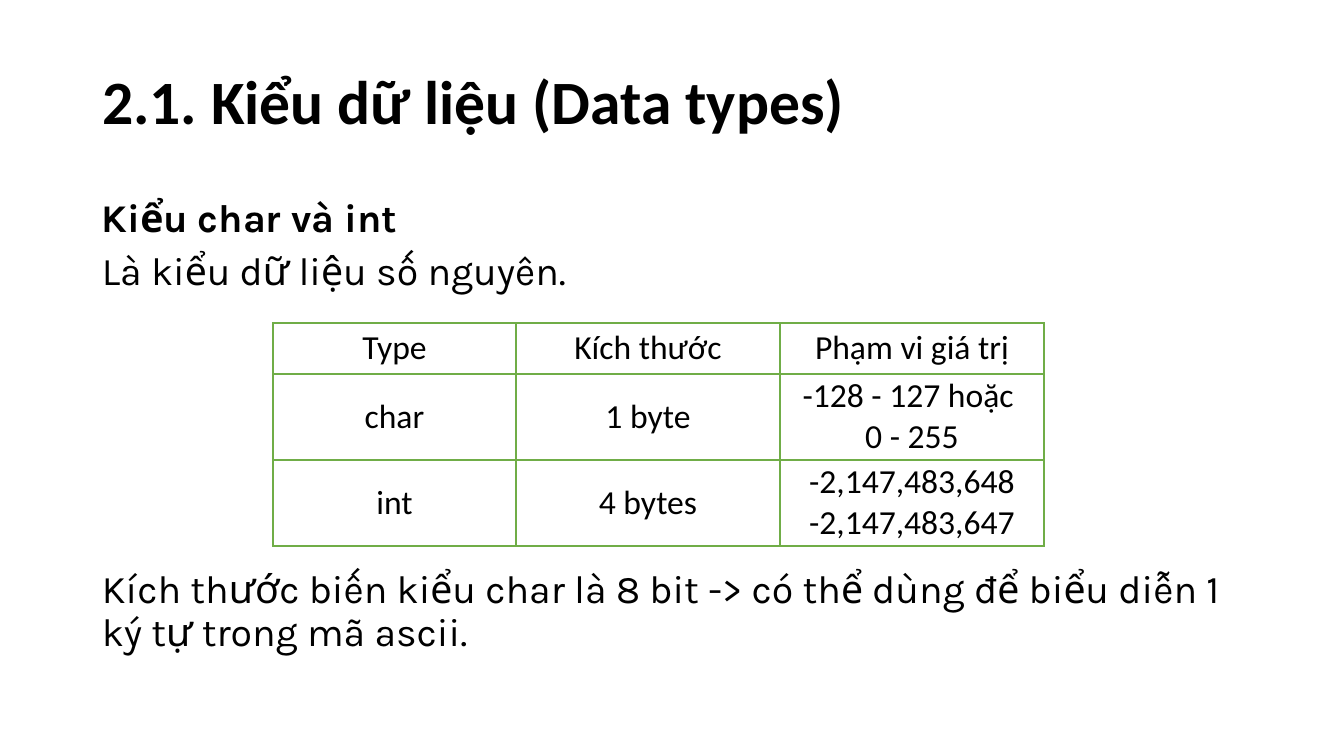
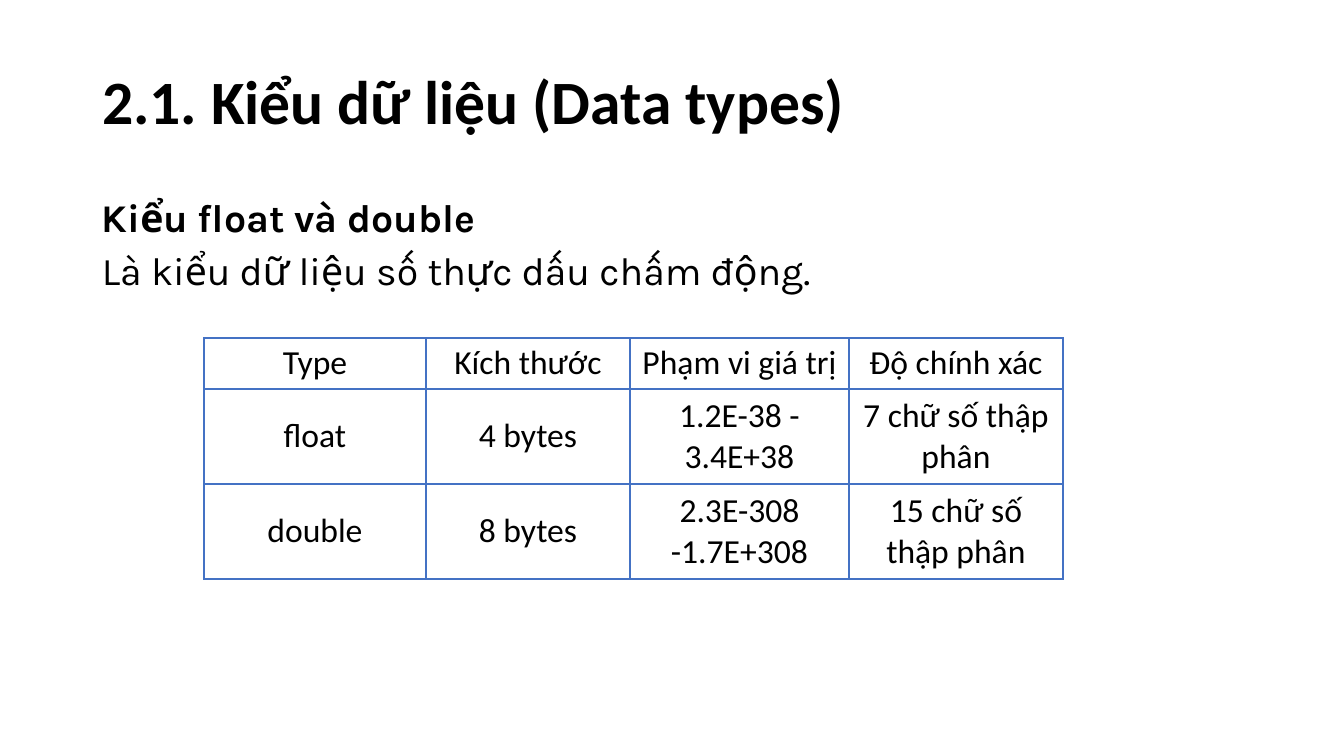
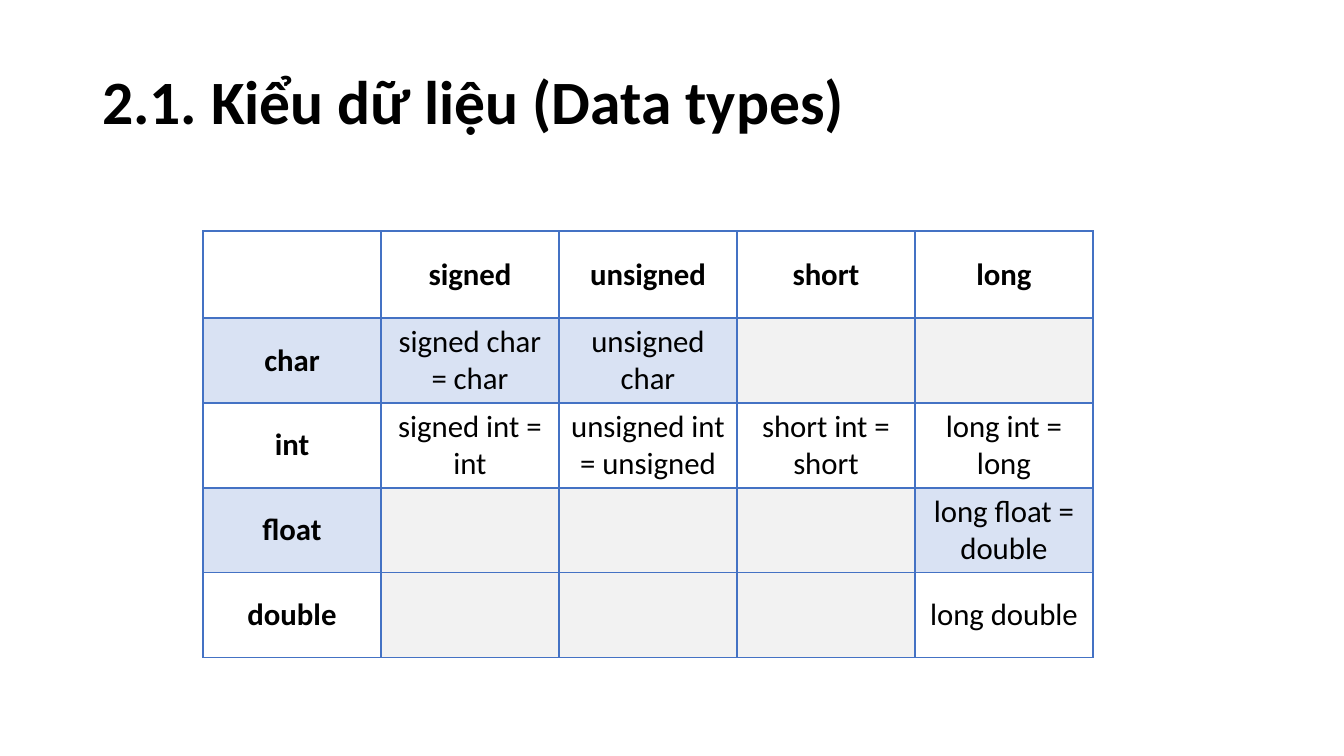
from lxml import etree
from pptx import Presentation
from pptx.dml.color import RGBColor
from pptx.enum.text import MSO_ANCHOR, MSO_AUTO_SIZE, PP_ALIGN
from pptx.oxml.ns import qn
from pptx.util import Emu, Pt

LEFT, CENTER = PP_ALIGN.LEFT, PP_ALIGN.CENTER
MIDDLE, TOP = MSO_ANCHOR.MIDDLE, MSO_ANCHOR.TOP
NO_AUTOFIT = MSO_AUTO_SIZE.NONE

EMU_PER_PX = 12192000 / 1344
TITLE_ONLY = 5
BLACK, GREEN, BLUE, GREY = "000000", "70AD47", "4472C4", "F2F2F2"
SECTION = "2.1. Kiểu dữ liệu (Data types)"


def px(length):
    return Emu(round(length * EMU_PER_PX))


def color(hex_value):
    return RGBColor.from_string(hex_value)


class Deck:
    heading_font = "Calibri"
    body_font = "Karla"
    margin, text_width = 92, 1159

    def __init__(self):
        self.presentation = Presentation()
        self.presentation.slide_width = px(1344)
        self.presentation.slide_height = px(756)
        self.slide = None

    def add_slide(self, heading):
        layout = self.presentation.slide_layouts[TITLE_ONLY]
        self.slide = self.presentation.slides.add_slide(layout)
        title = self.slide.shapes.title
        title.left, title.top = px(self.margin), px(32)
        title.width, title.height = px(self.text_width), px(146)
        self.text_block(title.text_frame, [(heading, True)], self.heading_font, 44,
                        anchor=MIDDLE)

    def text_block(self, frame, lines, font, size, anchor=TOP, space_before=0):
        frame.word_wrap = True
        frame.auto_size = NO_AUTOFIT
        frame.vertical_anchor = anchor
        self.set_lines(frame, lines, font, size, LEFT, 0.9, space_before)

    def set_lines(self, frame, lines, font, size, align, line_spacing=1.0,
                  space_before=0):
        for number, (text, bold) in enumerate(lines):
            paragraph = frame.add_paragraph() if number else frame.paragraphs[0]
            paragraph.text = text
            paragraph.alignment = align
            paragraph.line_spacing = line_spacing
            paragraph.space_before = Pt(space_before)
            paragraph.font.name = font
            paragraph.font.size = Pt(size)
            paragraph.font.bold = bold
            paragraph.font.color.rgb = color(BLACK)

    def body(self, top, height, lines):
        box = self.slide.shapes.add_textbox(
            px(self.margin), px(top), px(self.text_width), px(height))
        self.text_block(box.text_frame, lines, self.body_font, 28, space_before=7.5)

    def table(self, left, top, widths, heights, rows, line, size=24,
              margins=(8, 2), bold_headings=False, header_rule=1, tinted=(),
              empty_fill=None):
        grid = self.slide.shapes.add_table(
            len(rows), len(widths), px(left), px(top),
            px(sum(widths)), px(sum(heights))).table
        grid.first_row = grid.horz_banding = False
        for column, width in zip(grid.columns, widths):
            column.width = px(width)
        for row, height in zip(grid.rows, heights):
            row.height = px(height)
        for r, texts in enumerate(rows):
            for c, text in enumerate(texts):
                cell = grid.cell(r, c)
                cell.margin_left = cell.margin_right = px(margins[0])
                cell.margin_top = cell.margin_bottom = px(margins[1])
                cell.vertical_anchor = MIDDLE
                bold = bold_headings and 0 in (r, c)
                if text:
                    lines = [(part, bold) for part in text.split("\n")]
                    self.set_lines(cell.text_frame, lines, self.heading_font,
                                   size, CENTER)
                self.borders(cell, line, 1 if r else header_rule)
                if text and r in tinted:
                    self.fill(cell, line, 20)
                else:
                    self.fill(cell, empty_fill if r and not text else None)

    def borders(self, cell, line, bottom):
        properties = cell._tc.get_or_add_tcPr()
        for side, width in (("L", 1), ("R", 1), ("T", 1), ("B", bottom)):
            edge = etree.SubElement(properties, qn(f"a:ln{side}"), w=str(Pt(width)))
            paint = etree.SubElement(edge, qn("a:solidFill"))
            etree.SubElement(paint, qn("a:srgbClr"), val=line)

    def fill(self, cell, hex_value, opacity=100):
        if hex_value is None:
            cell.fill.background()
            return
        cell.fill.solid()
        cell.fill.fore_color.rgb = color(hex_value)
        if opacity < 100:
            paint = cell._tc.tcPr.find(qn("a:solidFill")).find(qn("a:srgbClr"))
            etree.SubElement(paint, qn("a:alpha"), val=str(opacity * 1000))


def main():
    deck = Deck()

    deck.add_slide(SECTION)
    deck.body(194, 110, [("Kiểu char và int", True),
                         ("Là kiểu dữ liệu số nguyên.", False)])
    deck.body(565, 109, [("Kích thước biến kiểu char là 8 bit -> có thể dùng để "
                          "biểu diễn 1 ký tự trong mã ascii.", False)])
    integer_types = [
        ["Type", "Kích thước", "Phạm vi giá trị"],
        ["char", "1 byte", "-128 - 127 hoặc \n0 - 255"],
        ["int", "4 bytes", "-2,147,483,648 -2,147,483,647"],
    ]
    deck.table(273, 323, [243, 264, 264], [51, 83, 83], integer_types, GREEN)

    deck.add_slide(SECTION)
    deck.body(194, 480, [("Kiểu float và double", True),
                         ("Là kiểu dữ liệu số thực dấu chấm động.", False)])
    real_types = [
        ["Type", "Kích thước", "Phạm vi giá trị", "Độ chính xác"],
        ["float", "4 bytes", "1.2E-38 - 3.4E+38", "7 chữ số thập phân"],
        ["double", "8 bytes", "2.3E-308 -1.7E+308", "15 chữ số thập phân"],
    ]
    deck.table(204, 338, [222, 204, 219, 214], [51, 95, 95], real_types, BLUE)

    deck.add_slide(SECTION)
    modifiers = [
        ["", "signed", "unsigned", "short", "long"],
        ["char", "signed char = char", "unsigned char", "", ""],
        ["int", "signed int = int", "unsigned int = unsigned",
         "short int = short", "long int = long"],
        ["float", "", "", "", "long float = double"],
        ["double", "", "", "", "long double"],
    ]
    deck.table(203, 231, [178] * 5, [87] + [85] * 4, modifiers, BLUE, size=22,
               margins=(10, 5), bold_headings=True, header_rule=2,
               tinted=(1, 3), empty_fill=GREY)

    deck.presentation.save("out.pptx")


if __name__ == "__main__":
    main()
